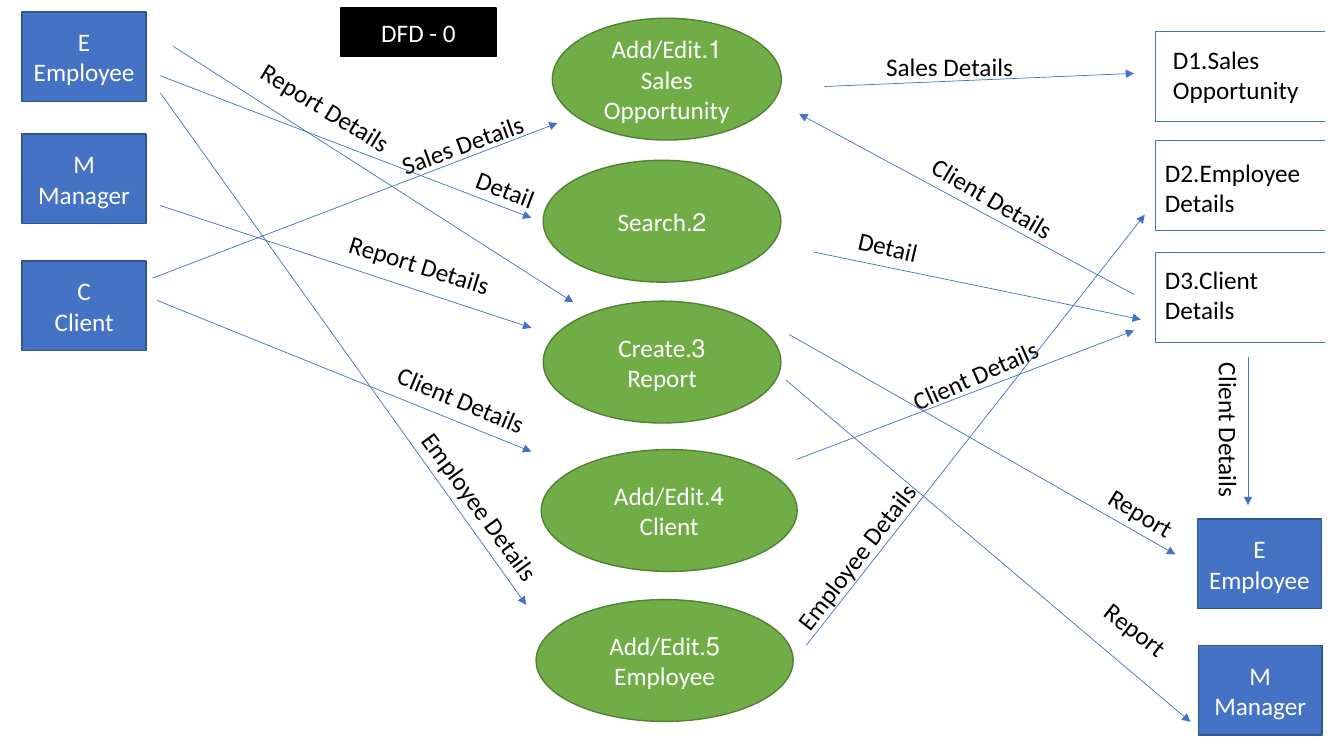
"""Build the level 0 data flow diagram slide for a sales system."""
from lxml import etree
from pptx import Presentation
from pptx import util as u
from pptx.dml.color import RGBColor
from pptx.enum import shapes, text
from pptx.oxml.ns import qn

BLUE = RGBColor(0x44, 0x72, 0xC4)
NAVY = RGBColor(0x32, 0x54, 0x91)
GREEN = RGBColor(0x70, 0xAD, 0x47)
DARK_GREEN = RGBColor(0x53, 0x80, 0x35)
BLACK = RGBColor(0, 0, 0)
WHITE = RGBColor(0xFF, 0xFF, 0xFF)
RECT, OVAL = shapes.MSO_SHAPE.RECTANGLE, shapes.MSO_SHAPE.OVAL
CENTER, RIGHT = text.PP_ALIGN.CENTER, text.PP_ALIGN.RIGHT

prs = Presentation()
prs.slide_width, prs.slide_height = u.Cm(33.87), u.Cm(19.05)
s = prs.slides.add_slide(prs.slide_layouts[6])


def write(sp, lines, color, align=None):
    tf = sp.text_frame
    tf.word_wrap = True
    for i, line in enumerate(lines):
        p = tf.add_paragraph() if i else tf.paragraphs[0]
        if align is not None:
            p.alignment = align
            p._p.get_or_add_pPr().set("rtl", "1")
        r = p.add_run()
        r.text = line
        r.font.size, r.font.name = u.Pt(18), "Calibri"
        r.font.color.rgb = color


def connect(x1, y1, x2, y2, arrow=False):
    cn = s.shapes.add_connector(shapes.MSO_CONNECTOR.STRAIGHT, u.Cm(x1), u.Cm(y1), u.Cm(x2), u.Cm(y2))
    cn.line.color.rgb = BLUE
    cn.line.width = u.Pt(0.5)
    if arrow:
        etree.SubElement(cn.line._get_or_add_ln(), qn("a:tailEnd"), type="triangle")
    etree.SubElement(cn._element.spPr, qn("a:effectLst"))


ENTITY = (3.12, 2.26, RECT, BLUE, NAVY)
nodes = [
    (["DFD - 0"], 8.59, 0.2, 3.91, 1.22, RECT, BLACK, BLACK),
    (["E", "Employee"], 0.56, 0.3, *ENTITY),
    (["M", "Manager"], 0.56, 3.38, *ENTITY),
    (["C", "Client"], 0.56, 6.58, *ENTITY),
    (["E", "Employee"], 30.18, 13.08, *ENTITY),
    (["M", "Manager"], 30.2, 16.26, *ENTITY),
]
processes = [
    ("1.Add/Edit Sales Opportunity", 13.92, 0.46, 5.77),
    ("2.Search", 13.69, 4.04, 5.99),
    ("3.Create Report", 13.69, 7.59, 5.99),
    ("4.Add/Edit Client", 13.64, 11.33, 6.45),
    ("5.Add/Edit Employee", 13.51, 15.11, 6.48),
]
for name, x, y, w in processes:
    nodes.append(([name], x, y, w, 3.07, OVAL, GREEN, DARK_GREEN))

for lines, x, y, w, h, kind, fill, outline in nodes:
    sp = s.shapes.add_shape(kind, u.Cm(x), u.Cm(y), u.Cm(w), u.Cm(h))
    sp.shadow.inherit = False
    sp.fill.solid()
    sp.fill.fore_color.rgb = fill
    sp.line.color.rgb = outline
    sp.line.width = u.Pt(1)
    sp.text_frame.vertical_anchor = text.MSO_ANCHOR.MIDDLE
    write(sp, lines, WHITE, CENTER)

STORE_LEFT, STORE_RIGHT, STORE_HEIGHT = 29.11, 33.4, 2.27
stores = [
    ("D1.Sales Opportunity", 0.79, 29.31, 0.99, 4.19),
    ("D2.Employee Details", 3.53, 29.11, 3.84, 4.19),
    ("D3.Client Details", 6.35, 29.11, 6.53, 3.12),
]
for name, top, x, y, w in stores:
    bottom = top + STORE_HEIGHT
    connect(STORE_RIGHT, top, STORE_LEFT, top)
    connect(STORE_LEFT, bottom, STORE_LEFT, top)
    connect(STORE_RIGHT, bottom, STORE_LEFT, bottom)
    sp = s.shapes.add_textbox(u.Cm(x), u.Cm(y), u.Cm(w), u.Cm(1.8))
    write(sp, [name], BLACK)

flows = [
    ("Client Details", (3.96, 7.57, 13.39, 11.38), (9.53, 9.53, 4.04), 22.6),
    ("Client Details", (20.07, 11.58, 28.58, 8.33), (22.48, 8.97, 4.04), 336),
    ("Client Details", (28.58, 7.42, 20.14, 2.87), (22.86, 4.42, 4.11), 30.3),
    ("Sales Details", (3.84, 7.01, 14.05, 3.1), (9.47, 3.18, 4.04), 340),
    ("Sales Details", (20.78, 2.18, 28.58, 1.85), (21.74, 1.17, 4.04), 0),
    ("Report Details", (4.37, 1.17, 14.45, 7.62), (5.74, 2.08, 4.57), 31.5),
    ("Report", (19.89, 8.43, 29.62, 13.97), (25.48, 11.81, 4.57), 31),
    ("Employee Details", (4.04, 2.34, 13.26, 15.24), (9.58, 12.22, 5), 53.8),
    ("Employee Details", (20.32, 16.26, 28.85, 5.41), (18.95, 13.59, 5.13), 307.6),
    ("Report Details", (4.04, 5.18, 13.39, 8.26), (8.31, 6.12, 4.34), 17.2),
    ("Report", (19.81, 9.58, 30, 18.19), (25.83, 14.78, 4.11), 37.7),
    ("Detail", (4.04, 1.91, 13.39, 5.49), (11.25, 4.17, 2.51), 20.9),
    ("Detail", (20.5, 6.35, 28.75, 8.05), (20.88, 5.64, 2.51), 13.1),
    ("Client Details", (31.45, 8.99, 31.45, 12.73), (28.96, 10.26, 4.01), 90),
]
for label, ends, (x, y, w), angle in flows:
    connect(*ends, arrow=True)
    sp = s.shapes.add_textbox(u.Cm(x), u.Cm(y), u.Cm(w), u.Cm(1.02))
    sp.rotation = angle
    write(sp, [label], BLACK, RIGHT)

prs.save("out.pptx")
